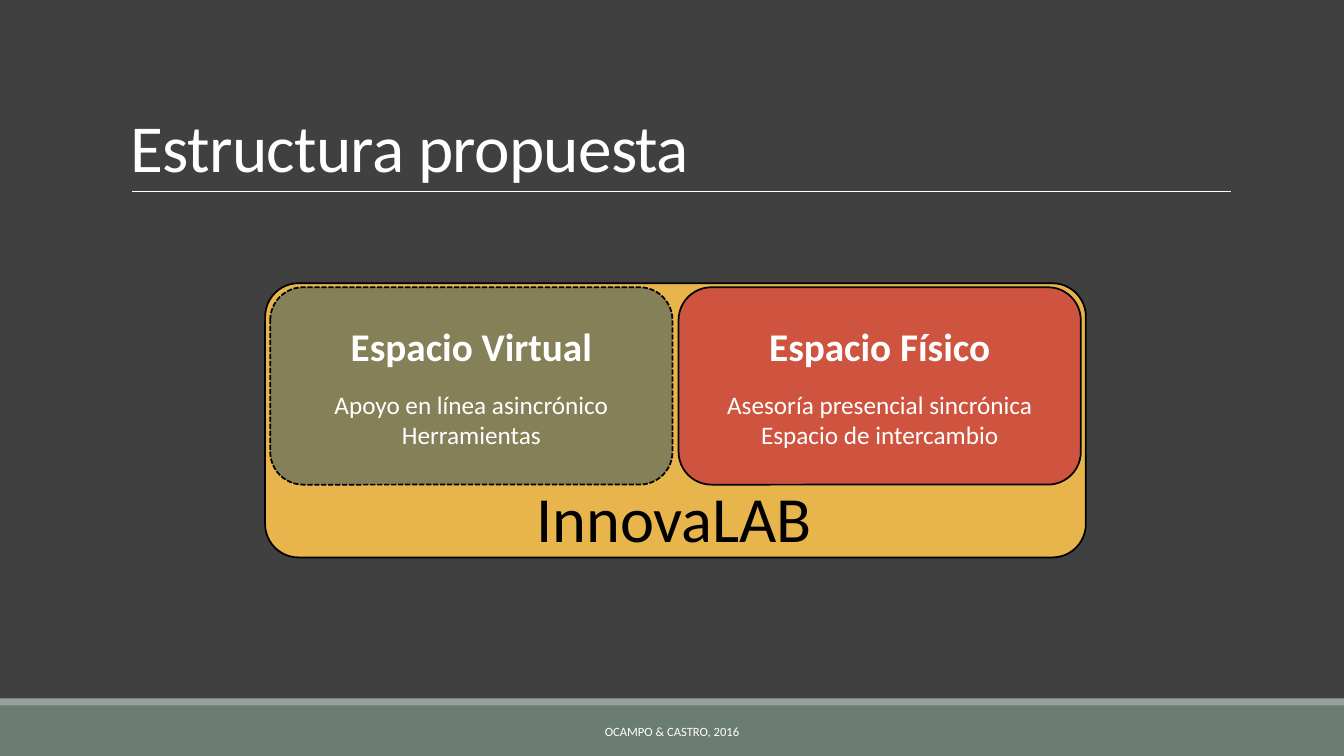
from lxml import etree
from pptx import Presentation
from pptx.dml.color import RGBColor
from pptx.enum.dml import MSO_LINE as Dash
from pptx.enum.shapes import MSO_CONNECTOR as Link, MSO_SHAPE as Shape
from pptx.enum.text import MSO_ANCHOR as Anchor, PP_ALIGN as Align
from pptx.oxml.ns import qn
from pptx.util import Inches, Pt

WIDE, HIGH = 13.33, 7.5
WHITE, BLACK = "FFFFFF", "000000"
SPACES = [
    ("Espacio Virtual", ["Apoyo en línea asincrónico", "Herramientas"],
     "848058", Dash.SQUARE_DOT),
    ("Espacio Físico", ["Asesoría presencial sincrónica", "Espacio de intercambio"],
     "CF543F", None),
]


def color(code):
    return RGBColor.from_string(code)


def block(slide, kind, box, fill, line=None, dash=None):
    shape = slide.shapes.add_shape(kind, *map(Inches, box))
    shape.shadow.inherit = False
    shape.fill.solid()
    shape.fill.fore_color.rgb = color(fill)
    if line:
        shape.line.color.rgb = color(line)
        shape.line.width = Pt(1.25)
        shape.line.dash_style = dash
    else:
        shape.line.fill.background()
    return shape


def write(para, text, size, tint=WHITE, bold=False, align=Align.CENTER):
    para.text = text
    para.alignment = align
    font = para.font
    font.name, font.size, font.bold = "Calibri", Pt(size), bold
    font.color.rgb = color(tint)


def label(slide, box, anchor, wrap=True):
    frame = slide.shapes.add_textbox(*map(Inches, box)).text_frame
    frame.word_wrap = wrap
    frame.vertical_anchor = anchor
    return frame.paragraphs[0]


def header(slide, box):
    x, y, w, h = box
    para = label(slide, box, Anchor.BOTTOM)
    write(para, "Estructura propuesta", 48, align=Align.LEFT)
    para.line_spacing = 0.85
    para.runs[0]._r.get_or_add_rPr().set("spc", "-50")
    ends = (x + 0.11, y + h, x + w + 0.01, y + h)
    rule = slide.shapes.add_connector(Link.STRAIGHT, *map(Inches, ends))
    rule.line.color.rgb = color(WHITE)
    rule.line.width = Pt(0.5)
    etree.SubElement(rule._element.spPr, qn("a:effectLst"))


def space(slide, box, title, items, fill, dash):
    frame = block(slide, Shape.ROUNDED_RECTANGLE, box, fill, BLACK, dash).text_frame
    frame.word_wrap = True
    frame.vertical_anchor = Anchor.MIDDLE
    head = frame.paragraphs[0]
    write(head, title, 28, bold=True)
    head.space_after = Pt(14.6)
    for item in items:
        write(frame.add_paragraph(), item, 18)


def lab(slide, box):
    x, y, w, h = box
    panel = block(slide, Shape.ROUNDED_RECTANGLE, box, "E8B54D", BLACK)
    panel.adjustments[0] = 0.122
    edge, gap = 0.05, 0.06
    wide = (w - 2 * edge - gap) / 2
    for col, parts in enumerate(SPACES):
        left = x + edge + col * (wide + gap)
        space(slide, (left, y + 0.04, wide, h * 0.72), *parts)
    name = (x + (w - 2.96) / 2, y + h - 0.84, 2.96, 0.88)
    write(label(slide, name, Anchor.TOP, False), "InnovaLAB", 46, BLACK, align=Align.LEFT)


def footer(slide, box):
    x, y, w, h = box
    strip = 0.07
    block(slide, Shape.RECTANGLE, (x, y + strip, w, h - strip), "6B7D72")
    block(slide, Shape.RECTANGLE, (x, y, w, strip), "93A299")
    para = label(slide, (x + (w - 5.27) / 2, y + 0.13, 5.27, 0.4), Anchor.MIDDLE)
    write(para, "OCAMPO & CASTRO, 2016", 9)


def main():
    deck = Presentation()
    deck.slide_width, deck.slide_height = Inches(WIDE), Inches(HIGH)
    slide = deck.slides.add_slide(deck.slide_layouts[6])
    slide.background.fill.solid()
    slide.background.fill.fore_color.rgb = color("404040")
    footer(slide, (0, HIGH - 0.57, WIDE, 0.57))
    header(slide, (1.2, 0.31, 11, 1.59))
    lab(slide, (2.63, 2.81, 8.14, 2.72))
    deck.save("out.pptx")


if __name__ == "__main__":
    main()
